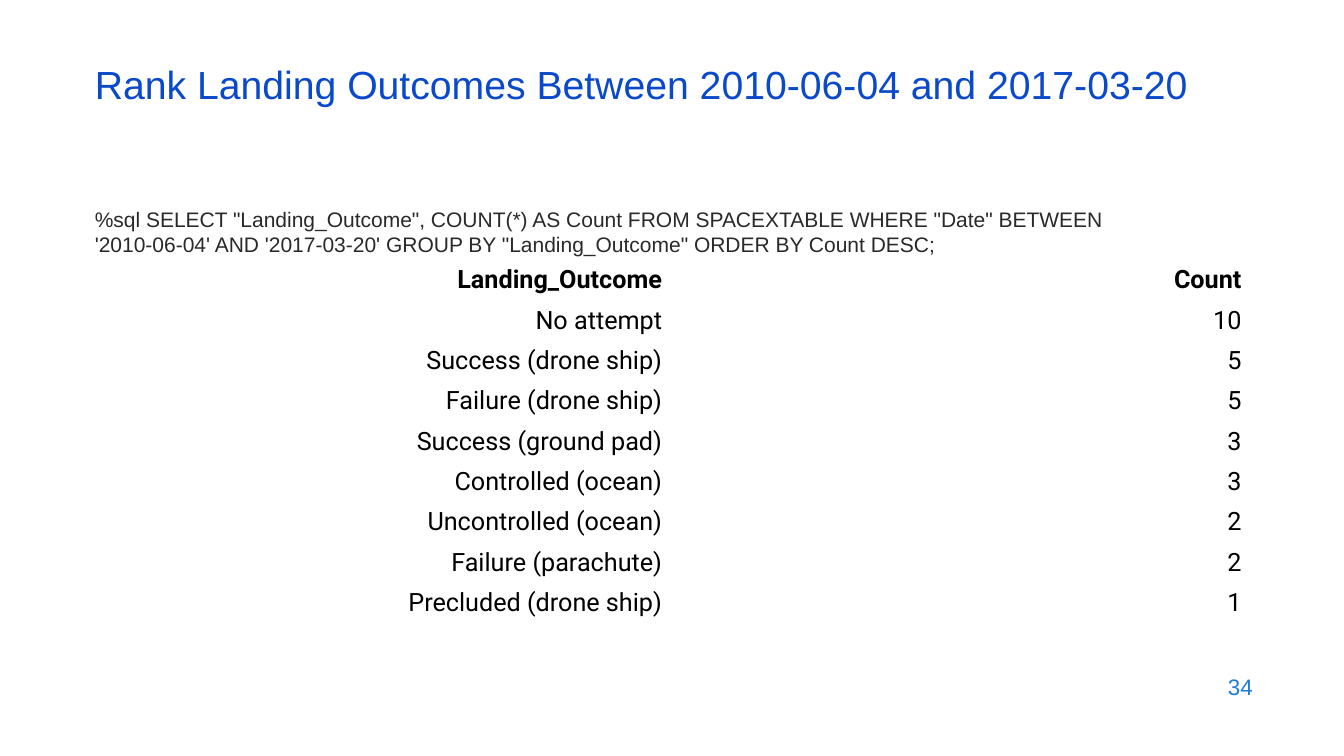
"""Build the slide that ranks landing outcomes by count."""
from pptx import Presentation
from pptx import util as u
from pptx.dml.color import RGBColor
from pptx.enum import text

TITLE = "Rank Landing Outcomes Between 2010-06-04 and 2017-03-20"
QUERY = (
    "%sql SELECT \"Landing_Outcome\", COUNT(*) AS Count FROM SPACEXTABLE "
    "WHERE \"Date\" BETWEEN '2010-06-04' AND '2017-03-20' "
    "GROUP BY \"Landing_Outcome\" ORDER BY Count DESC;"
)
PAGE = "34"
OUTCOMES = [
    ("Landing_Outcome", "Count"),
    ("No attempt", "10"),
    ("Success (drone ship)", "5"),
    ("Failure (drone ship)", "5"),
    ("Success (ground pad)", "3"),
    ("Controlled (ocean)", "3"),
    ("Uncontrolled (ocean)", "2"),
    ("Failure (parachute)", "2"),
    ("Precluded (drone ship)", "1"),
]

TITLE_BLUE = RGBColor(0x0B, 0x49, 0xCB)
PAGE_BLUE = RGBColor(0x1C, 0x7D, 0xDB)
DARK = RGBColor(0x29, 0x29, 0x29)
BLACK = RGBColor(0, 0, 0)
WHITE = RGBColor(0xFF, 0xFF, 0xFF)

LEFT, TOP, MIDDLE = text.PP_ALIGN.LEFT, text.MSO_ANCHOR.TOP, text.MSO_ANCHOR.MIDDLE
RIGHT = text.PP_ALIGN.RIGHT
ROW_H = 1
COL_W = 14.6


def write(tf, content, size, color, font="Arial", bold=False, align=LEFT, spacing=1.0):
    """Put one formatted run into a text frame."""
    tf.word_wrap = True
    p = tf.paragraphs[0]
    p.alignment = align
    p.line_spacing = spacing
    r = p.add_run()
    r.text = content
    r.font.name, r.font.size, r.font.bold = font, u.Pt(size), bold
    r.font.color.rgb = color


def add_text(slide, box, content, anchor=MIDDLE, **fmt):
    """Add a text box at (left, top, width, height) in centimetres."""
    tf = slide.shapes.add_textbox(*map(u.Cm, box)).text_frame
    tf.vertical_anchor = anchor
    write(tf, content, **fmt)


def add_outcomes(slide, left, top):
    """Add the right-aligned table of outcomes and counts."""
    rows, cols = len(OUTCOMES), len(OUTCOMES[0])
    size = (left, top, cols * COL_W, rows * ROW_H)
    table = slide.shapes.add_table(rows, cols, *map(u.Cm, size)).table
    table.horz_banding = False
    for i, record in enumerate(OUTCOMES):
        for j, value in enumerate(record):
            cell = table.cell(i, j)
            cell.fill.solid()
            cell.fill.fore_color.rgb = WHITE
            cell.vertical_anchor = MIDDLE
            write(cell.text_frame, value, 18, BLACK, font="Roboto", bold=i == 0, align=RIGHT)


def main():
    """Lay out the slide and save it."""
    prs = Presentation()
    prs.slide_width, prs.slide_height = u.Cm(33.87), u.Cm(19.05)
    s = prs.slides.add_slide(prs.slide_layouts[6])
    add_text(s, (24.2, 16.74, 7.62, 1.12), PAGE, size=16, color=PAGE_BLUE, align=RIGHT)
    add_text(s, (2.14, 5.08, 27.08, 1.52), QUERY, anchor=TOP, size=15, color=DARK)
    add_text(s, (2.14, 1.5, 29.2, 1.52), TITLE, size=28, color=TITLE_BLUE, spacing=0.7)
    add_outcomes(s, 2.34, 6.55)
    prs.save("out.pptx")


if __name__ == "__main__":
    main()
